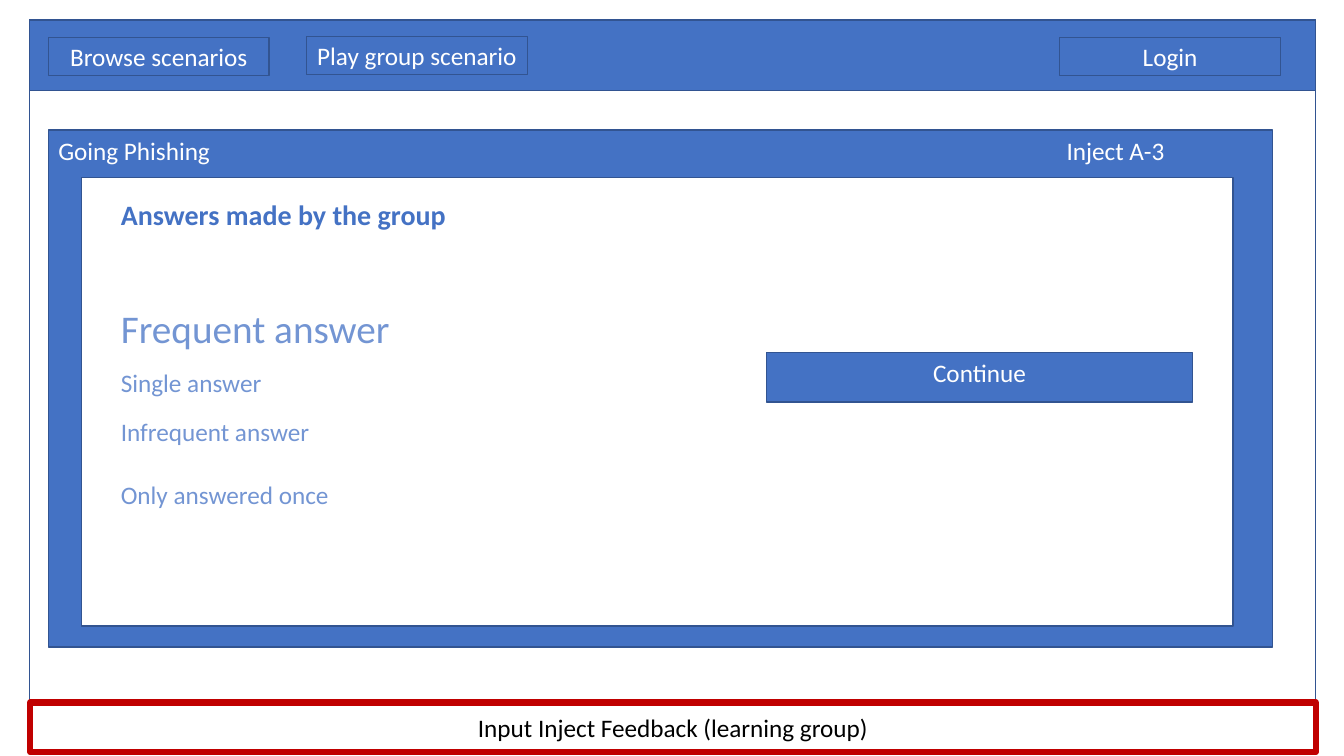
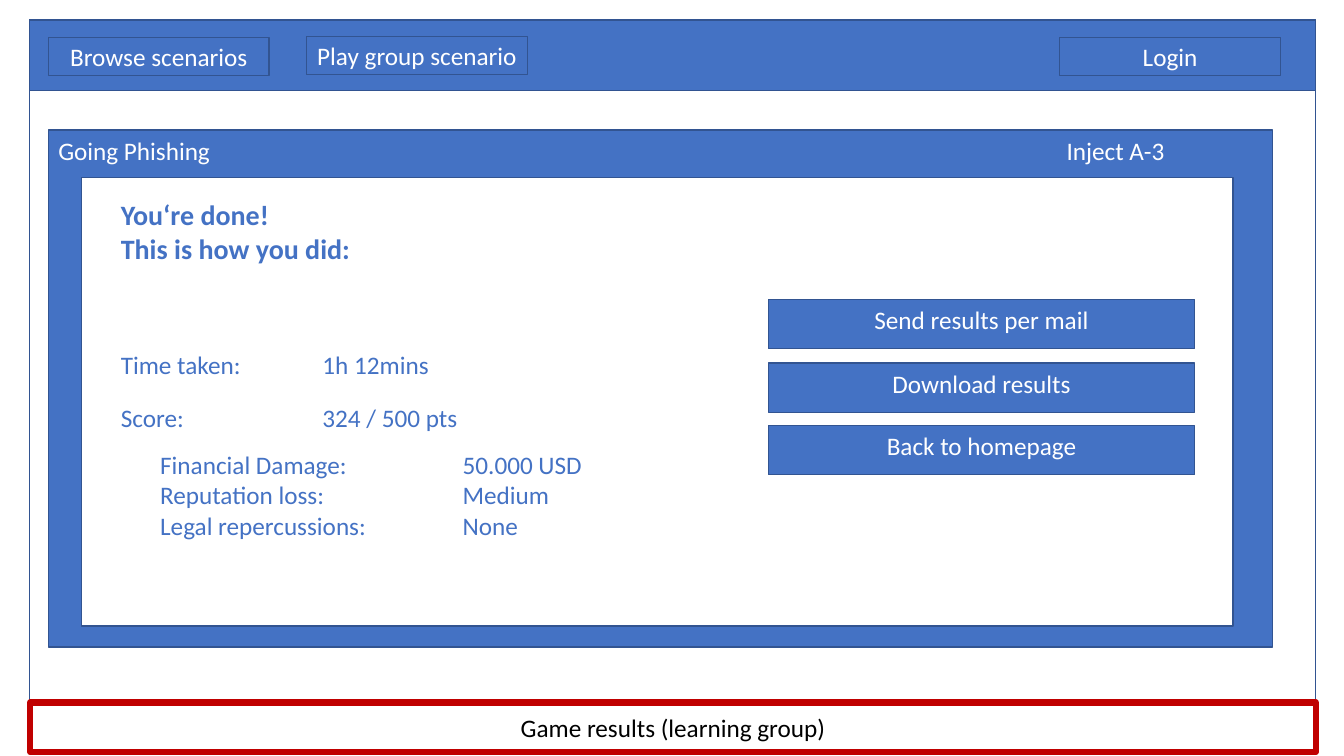
"""Build two game screens that share a navigation bar, a window and a caption."""
from dataclasses import dataclass
from typing import Optional

from lxml import etree
from pptx import Presentation
from pptx import util as u
from pptx.dml.color import RGBColor
from pptx.enum import shapes, text
from pptx.oxml import ns


@dataclass(frozen=True)
class Theme:
    font: str = "Calibri"
    blue: str = "4472C4"
    pale: str = "7395D3"
    edge: str = "325491"
    red: str = "C00000"
    white: str = "FFFFFF"
    black: str = "000000"
    body: int = 18
    head: int = 20
    large: int = 28
    thin: float = 1
    thick: float = 4.5


@dataclass(frozen=True)
class Box:
    left: float
    top: float
    width: float
    height: float


@dataclass(frozen=True)
class Note:
    text: str
    top: float
    size: int
    color: str
    bold: bool = False
    left: float = 1.1
    height: float = 0.49
    tab: Optional[float] = None


@dataclass(frozen=True)
class Button:
    text: str
    left: float
    top: float


@dataclass(frozen=True)
class Screen:
    caption: str
    notes: tuple[Note, ...]
    buttons: tuple[Button, ...]


T = Theme()
TOP = text.MSO_ANCHOR.TOP
MID = text.MSO_ANCHOR.MIDDLE
LEFT = text.PP_ALIGN.LEFT
CENTER = text.PP_ALIGN.CENTER

NAV = (
    Button("Browse scenarios", 0.48, 0.37),
    Button("Play group scenario", 3.04, 0.36),
    Button("Login", 10.51, 0.37),
)

SCREENS = (
    Screen(
        "Input Inject Feedback (learning group)",
        (
            Note("Answers made by the group", 1.91, T.head, T.blue, bold=True),
            Note("Frequent answer", 2.97, T.large, T.pale),
            Note("Single answer", 3.59, T.body, T.pale),
            Note("Infrequent answer", 4.08, T.body, T.pale),
            Note("Only answered once", 4.71, T.body, T.pale),
        ),
        (Button("Continue", 7.6, 3.5),),
    ),
    Screen(
        "Game results (learning group)",
        (
            Note("You‘re done!\nThis is how you did:", 1.91, T.head, T.blue, bold=True),
            Note("Time taken:\t1h 12mins", 3.42, T.body, T.blue, tab=2),
            Note("Score:\t324 / 500 pts", 3.94, T.body, T.blue, tab=2),
            Note(
                "Financial Damage:\t50.000 USD\n"
                "Reputation loss:\tMedium\n"
                "Legal repercussions:\tNone",
                4.41, T.body, T.blue, left=1.49, height=1.04, tab=3,
            ),
        ),
        tuple(
            Button(name, 7.62, round(2.97 + 0.625 * row, 2))
            for row, name in enumerate(
                ("Send results per mail", "Download results", "Back to homepage")
            )
        ),
    ),
)


def place(box: Box) -> tuple:
    """Return the box as four lengths."""
    return tuple(u.Inches(n) for n in (box.left, box.top, box.width, box.height))


def write(shape, words: str, *, size: int = T.body, color: str = T.white,
          bold: bool = False, align=LEFT, anchor=TOP,
          tab: Optional[float] = None) -> None:
    """Fill a shape with formatted paragraphs."""
    frame = shape.text_frame
    frame.word_wrap = True
    frame.vertical_anchor = anchor
    for row, line in enumerate(words.split("\n")):
        para = frame.add_paragraph() if row else frame.paragraphs[0]
        para.alignment = align
        if tab is not None:
            stops = etree.SubElement(para._p.get_or_add_pPr(), ns.qn("a:tabLst"))
            etree.SubElement(stops, ns.qn("a:tab"), pos=str(u.Inches(tab)), algn="l")
        run = para.add_run()
        run.text = line
        run.font.name = T.font
        run.font.size = u.Pt(size)
        run.font.bold = bold
        run.font.color.rgb = RGBColor.from_string(color)


def panel(slide, box: Box, *, fill: Optional[str] = None,
          line: str = T.edge, width: float = T.thin):
    """Draw an outlined rectangle."""
    shape = slide.shapes.add_shape(shapes.MSO_SHAPE.RECTANGLE, *place(box))
    shape.shadow.inherit = False
    if fill:
        shape.fill.solid()
        shape.fill.fore_color.rgb = RGBColor.from_string(fill)
    else:
        shape.fill.background()
    shape.line.color.rgb = RGBColor.from_string(line)
    shape.line.width = u.Pt(width)
    return shape


def frame(slide, caption: str) -> None:
    """Draw the parts that all screens share."""
    panel(slide, Box(0.29, 0.2, 12.76, 6.75), fill=T.white)
    panel(slide, Box(0.29, 0.2, 12.76, 0.7), fill=T.blue)
    for item in NAV:
        tab = panel(slide, Box(item.left, item.top, 2.19, 0.38))
        write(tab, item.text, align=CENTER, anchor=MID)
    window = panel(slide, Box(0.48, 1.29, 12.14, 5.13), fill=T.blue)
    write(window, "Going Phishing\tInject A-3", tab=10)
    panel(slide, Box(0.81, 1.76, 11.42, 4.45), fill=T.white)
    label = panel(slide, Box(0.3, 6.97, 12.75, 0.49), line=T.red, width=T.thick)
    write(label, caption, color=T.black, align=CENTER, anchor=MID)


def draw(slide, screen: Screen) -> None:
    """Draw one whole screen."""
    frame(slide, screen.caption)
    for note in screen.notes:
        box = Box(note.left, note.top, 5.15, note.height)
        area = slide.shapes.add_textbox(*place(box))
        write(area, note.text, size=note.size, color=note.color,
              bold=note.bold, tab=note.tab)
    for item in screen.buttons:
        button = panel(slide, Box(item.left, item.top, 4.23, 0.49), fill=T.blue)
        write(button, item.text, align=CENTER)


def main() -> None:
    """Build and save the deck."""
    deck = Presentation()
    deck.slide_width = u.Inches(13.33)
    deck.slide_height = u.Inches(7.5)
    for screen in SCREENS:
        draw(deck.slides.add_slide(deck.slide_layouts[6]), screen)
    deck.save("out.pptx")


if __name__ == "__main__":
    main()
